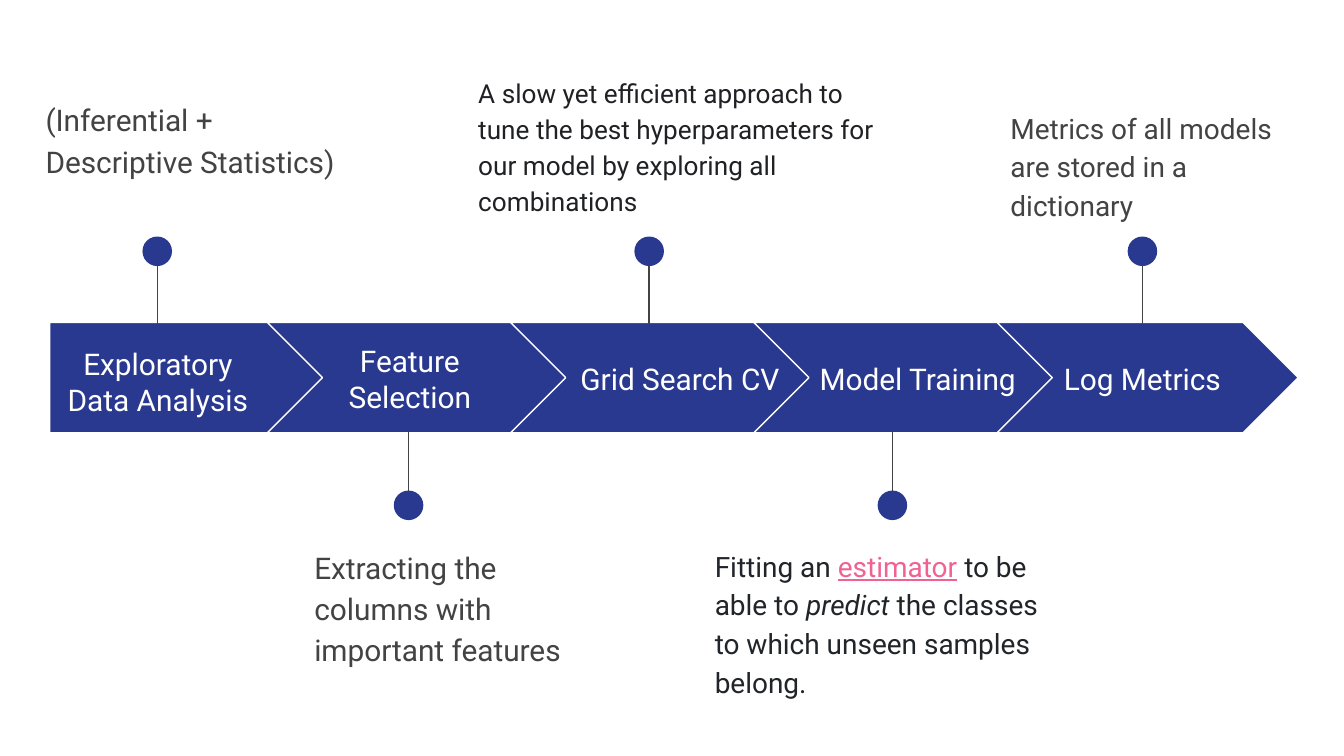
from dataclasses import dataclass
from typing import Any

from lxml import etree
from pptx import Presentation
from pptx.dml.color import RGBColor
from pptx.enum.shapes import MSO_CONNECTOR, MSO_SHAPE
from pptx.enum.text import MSO_ANCHOR, PP_ALIGN
from pptx.oxml.ns import qn
from pptx.util import Inches, Pt

PENTAGON, CHEVRON, OVAL = MSO_SHAPE.PENTAGON, MSO_SHAPE.CHEVRON, MSO_SHAPE.OVAL
STRAIGHT = MSO_CONNECTOR.STRAIGHT
LEFT, CENTER = PP_ALIGN.LEFT, PP_ALIGN.CENTER
TOP, MIDDLE = MSO_ANCHOR.TOP, MSO_ANCHOR.MIDDLE

NAVY = RGBColor(0x2A, 0x39, 0x90)
WHITE = RGBColor(0xFF, 0xFF, 0xFF)
GRAY = RGBColor(0x43, 0x43, 0x43)
INK = RGBColor(0x20, 0x21, 0x24)
CHARCOAL = RGBColor(0x21, 0x25, 0x29)
PINK = RGBColor(0xF0, 0x62, 0x92)

SLIDE_WIDTH = 10
SLIDE_HEIGHT = SLIDE_WIDTH * 9 / 16
BAND_TOP, BAND_HEIGHT = 2.4, 0.82
FIRST_CHEVRON, CHEVRON_STEP = 1.99, 1.81
DOT = 0.22
# dot top, stem start, stem end
UPPER_PIN = (1.76, 1.8, 2.41)
LOWER_PIN = (3.65, 3.82, 3.21)


@dataclass
class ProcessSlide:
    slide: Any
    font: str = "Roboto"
    line_width: float = 0.75

    def arrow(self, kind, left, width):
        arrow = self.slide.shapes.add_shape(
            kind, Inches(left), Inches(BAND_TOP), Inches(width), Inches(BAND_HEIGHT))
        arrow.adjustments[0] = 0.5
        arrow.shadow.inherit = False
        arrow.fill.solid()
        arrow.fill.fore_color.rgb = NAVY
        arrow.line.color.rgb = WHITE
        arrow.line.width = Pt(self.line_width)

    def pin(self, center, above):
        """Stem from the band to a dot above or below it."""
        dot_top, start, end = UPPER_PIN if above else LOWER_PIN
        stem = self.slide.shapes.add_connector(
            STRAIGHT, Inches(center), Inches(start), Inches(center), Inches(end))
        stem.line.color.rgb = GRAY
        stem.line.width = Pt(self.line_width)
        etree.SubElement(stem._element.spPr, qn("a:effectLst"))
        dot = self.slide.shapes.add_shape(
            OVAL, Inches(center - DOT / 2), Inches(dot_top), Inches(DOT), Inches(DOT))
        dot.shadow.inherit = False
        dot.fill.solid()
        dot.fill.fore_color.rgb = NAVY
        dot.line.fill.background()

    def text(self, runs, box, *, size=16, color=GRAY, align=LEFT, anchor=TOP,
             spacing=1.0, after=0):
        """Write a string, or (text, format) pairs, as one paragraph."""
        frame = self.slide.shapes.add_textbox(*map(Inches, box)).text_frame
        frame.word_wrap = True
        frame.vertical_anchor = anchor
        frame.margin_left = frame.margin_right = Inches(0.1)
        frame.margin_top = frame.margin_bottom = Inches(0.1)
        paragraph = frame.paragraphs[0]
        paragraph.alignment = align
        paragraph.line_spacing = spacing
        paragraph.space_after = Pt(after)
        for words, style in [(runs, {})] if isinstance(runs, str) else runs:
            run = paragraph.add_run()
            run.text = words
            run.font.name = self.font
            run.font.size = Pt(size)
            run.font.color.rgb = style.get("color", color)
            run.font.underline = style.get("underline")
            run.font.italic = style.get("italic")

    def label(self, words, left, width, align=CENTER, height=0.51):
        self.text(words, (left, 2.56, width, height), color=WHITE,
                  align=align, anchor=MIDDLE)

    def note(self, runs, box, **style):
        self.text(runs, box, spacing=1.15, after=16, **style)


ESTIMATOR_NOTE = [
    ("Fitting an", {}),
    (" ", {"color": INK}),
    ("estimator", {"color": PINK, "underline": True}),
    (" to be able to ", {}),
    ("predict", {"italic": True}),
    (" the classes to which unseen samples belong.", {}),
]

# label, label format, pin centre, note, note box, note format
STEPS = [
    ("Exploratory Data Analysis", dict(left=0.37, width=1.61, height=0.56), 1.17,
     "(Inferential + Descriptive Statistics)", (0.24, 0.62, 2.45, 0.99), {}),
    ("Feature Selection", dict(left=2.33, width=1.44), 3.04,
     "Extracting the columns with important features", (2.24, 3.95, 2.05, 0.99), {}),
    ("Grid Search CV", dict(left=4.22, width=1.75, align=LEFT), 4.83,
     "A slow yet efficient approach to tune the best hyperparameters for our model "
     "by exploring all combinations",
     (3.46, 0.44, 3.19, 1.24), dict(size=14, color=INK)),
    ("Model Training", dict(left=6, width=1.75, align=LEFT), 6.64,
     ESTIMATOR_NOTE, (5.22, 3.95, 2.8, 1.24), dict(size=15, color=CHARCOAL)),
    ("Log Metrics", dict(left=7.78, width=1.44), 8.5,
     "Metrics of all models are stored in a dictionary",
     (7.42, 0.69, 2.45, 0.99), dict(size=15)),
]


def main():
    deck = Presentation()
    deck.slide_width, deck.slide_height = Inches(SLIDE_WIDTH), Inches(SLIDE_HEIGHT)
    process = ProcessSlide(deck.slides.add_slide(deck.slide_layouts[6]))
    for i, (label, label_format, center, note, box, note_format) in enumerate(STEPS):
        if i == 0:
            process.arrow(PENTAGON, 0.37, 2.05)
        else:
            process.arrow(CHEVRON, FIRST_CHEVRON + (i - 1) * CHEVRON_STEP, 2.24)
        process.label(label, **label_format)
        process.pin(center, above=i % 2 == 0)
        process.note(note, box, **note_format)
    deck.save("out.pptx")


if __name__ == "__main__":
    main()
